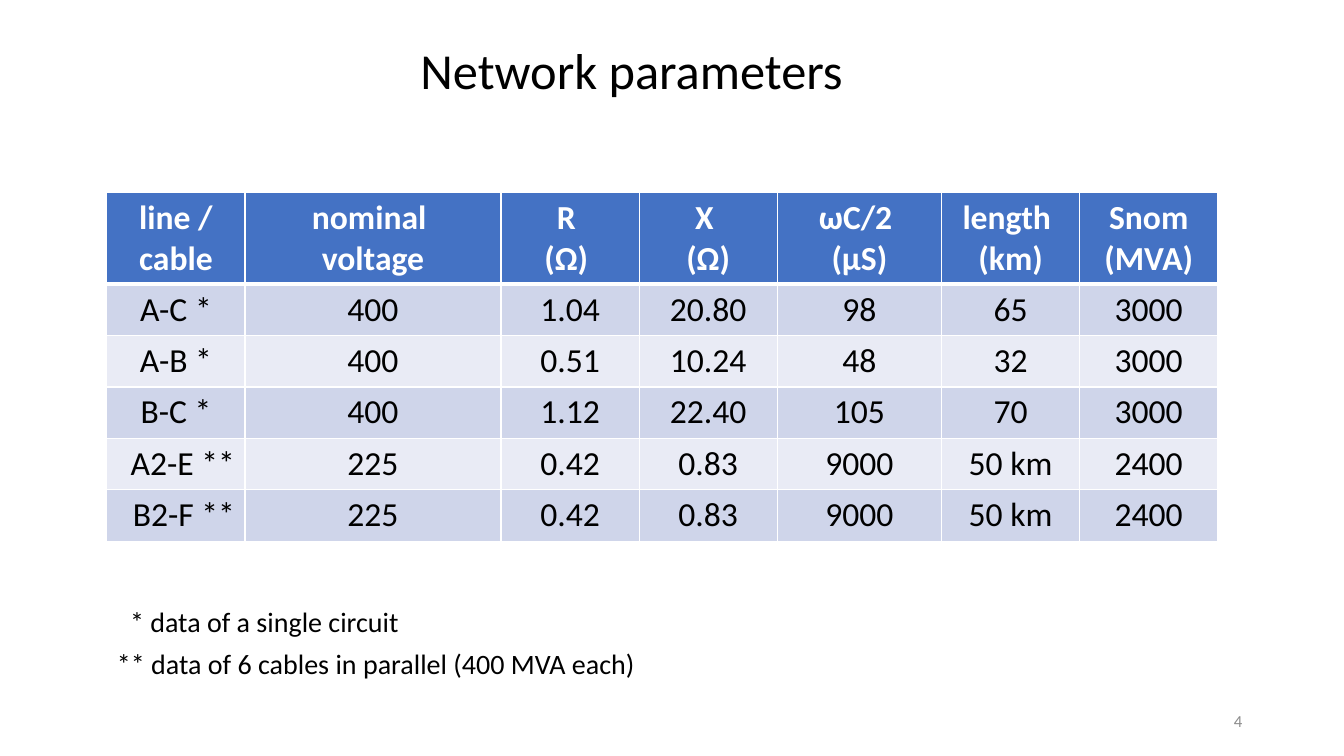
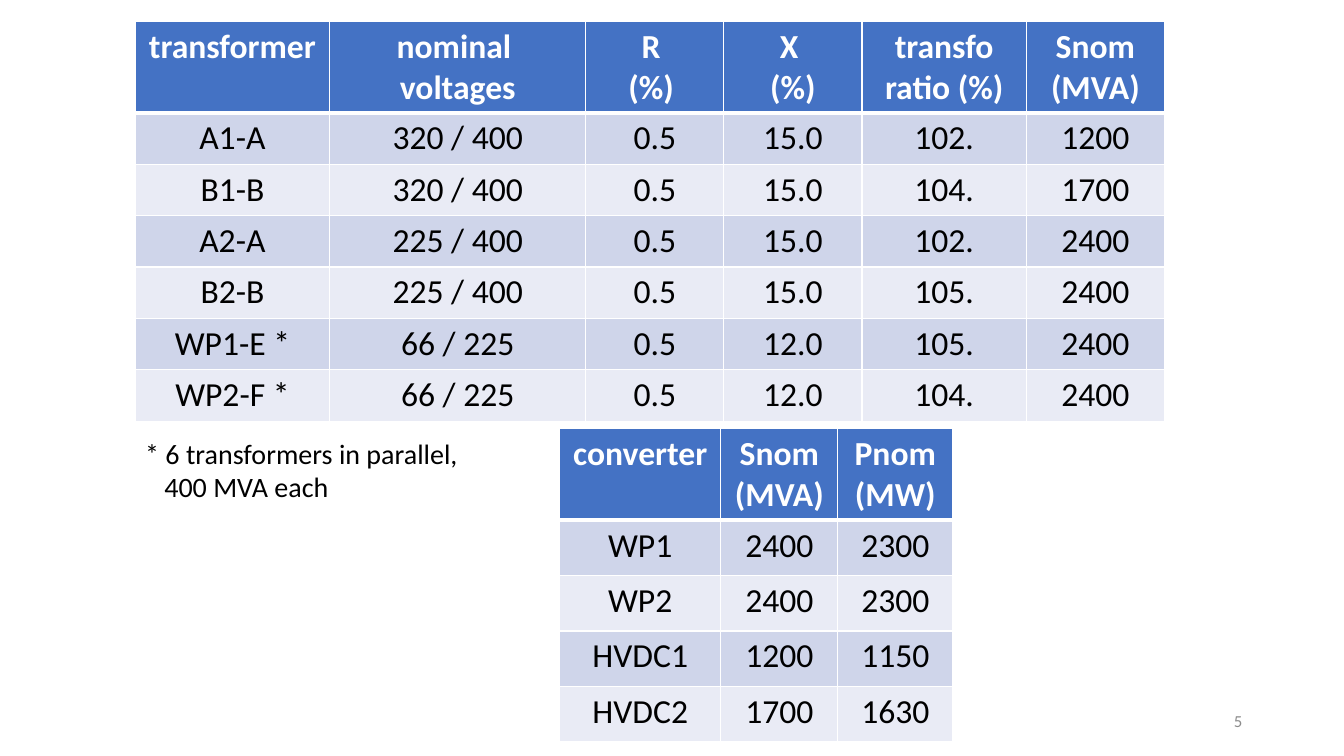
from dataclasses import dataclass

from lxml import etree
from pptx import Presentation
from pptx.dml.color import RGBColor
from pptx.enum.text import MSO_ANCHOR, MSO_AUTO_SIZE, PP_ALIGN
from pptx.oxml.ns import qn
from pptx.util import Inches, Pt

LEFT, CENTER, RIGHT = PP_ALIGN.LEFT, PP_ALIGN.CENTER, PP_ALIGN.RIGHT
TOP, MIDDLE = MSO_ANCHOR.TOP, MSO_ANCHOR.MIDDLE
NO_FIT, GROW = MSO_AUTO_SIZE.NONE, MSO_AUTO_SIZE.SHAPE_TO_FIT_TEXT
TITLE_AND_CONTENT = 1


@dataclass(frozen=True)
class Theme:
    """Colours, type sizes and line widths of the deck."""
    font: str = "Calibri"
    ink: str = "000000"
    white: str = "FFFFFF"
    grey: str = "8C8C8C"
    header: str = "4472C4"
    bands: tuple = ("CFD5EA", "E9EBF5")
    title_size: int = 36
    cell_size: int = 24
    note_size: int = 20
    number_size: int = 12
    rule: int = 1
    header_rule: int = 3


class Deck:
    """Builds slides in one theme."""

    def __init__(self, theme):
        """Open a blank widescreen presentation."""
        self.theme = theme
        self.prs = Presentation()
        self.prs.slide_width = Inches(13.33)
        self.prs.slide_height = Inches(7.5)
        self.s = None

    def slide(self, number, title=None):
        """Start a slide with its number and optional title."""
        self.s = self.prs.slides.add_slide(self.prs.slide_layouts[TITLE_AND_CONTENT])
        if title:
            self.title(title)
        else:
            sp = self.s.shapes.title.element
            sp.getparent().remove(sp)
        self.number(number)

    def place(self, sp, x, y, w, h):
        """Move and size a shape."""
        sp.left, sp.top, sp.width, sp.height = (Inches(v) for v in (x, y, w, h))

    def frame(self, tf, anchor, fit):
        """Set wrapping, anchor and fitting of a text frame."""
        tf.word_wrap = True
        tf.vertical_anchor = anchor
        tf.auto_size = fit

    def run(self, p, text, size, color, align=LEFT, bold=False):
        """Add one formatted run to a paragraph."""
        p.alignment = align
        r = p.add_run()
        r.text = text
        r.font.name = self.theme.font
        r.font.size = Pt(size)
        r.font.bold = bold
        r.font.color.rgb = RGBColor.from_string(color)

    def paragraphs(self, tf, count):
        """Return the given count of paragraphs in a text frame."""
        return [tf.paragraphs[0]] + [tf.add_paragraph() for _ in range(count - 1)]

    def title(self, text):
        """Fill the title placeholder."""
        sp = self.s.shapes.title
        self.place(sp, 4.07, 0, 7.71, 1.45)
        self.frame(sp.text_frame, MIDDLE, NO_FIT)
        p = sp.text_frame.paragraphs[0]
        p.line_spacing = 0.9
        self.run(p, text, self.theme.title_size, self.theme.ink)

    def number(self, number):
        """Add the slide number."""
        sp = self.s.shapes.add_textbox(Inches(9.42), Inches(6.95), Inches(3), Inches(0.4))
        self.frame(sp.text_frame, MIDDLE, NO_FIT)
        self.run(sp.text_frame.paragraphs[0], str(number),
                 self.theme.number_size, self.theme.grey, RIGHT)

    def note(self, box, lines, before=0):
        """Fill the body placeholder with (text, indent, line spacing) lines."""
        sp = self.s.placeholders[1]
        self.place(sp, *box)
        tf = sp.text_frame
        self.frame(tf, TOP, GROW)
        for p, (text, indent, spacing) in zip(self.paragraphs(tf, len(lines)), lines):
            p.space_before = Pt(before)
            p.line_spacing = spacing
            self.run(p, text, self.theme.note_size, self.theme.ink)
            pPr = p._p.get_or_add_pPr()
            pPr.set("marL", str(Inches(indent)))
            pPr.set("indent", "0")
            etree.SubElement(pPr, qn("a:buNone"))

    def borders(self, cell, top, bottom):
        """Draw white borders round a cell."""
        tcPr = cell._tc.get_or_add_tcPr()
        widths = {"L": self.theme.rule, "R": self.theme.rule, "T": top, "B": bottom}
        for side, width in widths.items():
            ln = etree.SubElement(tcPr, qn(f"a:ln{side}"), w=str(Pt(width)))
            fill = etree.SubElement(ln, qn("a:solidFill"))
            etree.SubElement(fill, qn("a:srgbClr"), val=self.theme.white)

    def cell(self, cell, text, row):
        """Fill and format one table cell."""
        t = self.theme
        head = row == 0
        self.borders(cell, t.header_rule if row == 1 else t.rule,
                     t.header_rule if head else t.rule)
        cell.fill.solid()
        color = t.header if head else t.bands[(row - 1) % 2]
        cell.fill.fore_color.rgb = RGBColor.from_string(color)
        lines = text.split("\n")
        align = RIGHT if text.endswith("**") else CENTER
        for p, line in zip(self.paragraphs(cell.text_frame, len(lines)), lines):
            self.run(p, line, t.cell_size, t.white if head else t.ink, align, head)

    def table(self, x, y, widths, rows, row_height=0.51, header_height=0.91):
        """Add a table with a header row and banded body rows."""
        heights = [header_height] + [row_height] * (len(rows) - 1)
        tbl = self.s.shapes.add_table(
            len(rows), len(widths), Inches(x), Inches(y),
            Inches(sum(widths)), Inches(sum(heights))).table
        for column, width in zip(tbl.columns, widths):
            column.width = Inches(width)
        for i, (height, values) in enumerate(zip(heights, rows)):
            tbl.rows[i].height = Inches(height)
            for j, text in enumerate(values):
                self.cell(tbl.cell(i, j), text, i)


LINES = [
    ("line / cable", "nominal \nvoltage", "R \n(Ω) ", "X \n(Ω)",
     "ωC/2 \n(μS)", "length \n(km)", "Snom (MVA)"),
    ("A-C *", "400", "1.04", "20.80", "98", "65", "3000"),
    ("A-B *", "400", "0.51", "10.24", "48", "32", "3000"),
    ("B-C *", "400", "1.12", "22.40", "105", "70", "3000"),
    ("A2-E **", "225", "0.42", "0.83", "9000", "50 km", "2400"),
    ("B2-F **", "225", "0.42", "0.83", "9000", "50 km", "2400"),
]
TRANSFORMERS = [
    ("transformer", "nominal \nvoltages", "R \n(%) ", "X \n(%)",
     "transfo\nratio (%)", "Snom (MVA)"),
    ("A1-A", "320 / 400", "0.5", "15.0", "102.", "1200"),
    ("B1-B", "320 / 400", "0.5", "15.0", "104.", "1700"),
    ("A2-A", "225 / 400", "0.5", "15.0", "102.", "2400"),
    ("B2-B", "225 / 400", "0.5", "15.0", "105.", "2400"),
    ("WP1-E *", "66 / 225", "0.5", "12.0", "105.", "2400"),
    ("WP2-F *", "66 / 225", "0.5", "12.0", "104.", "2400"),
]
CONVERTERS = [
    ("converter", "Snom\n(MVA)", "Pnom\n(MW)"),
    ("WP1", "2400", "2300"),
    ("WP2", "2400", "2300"),
    ("HVDC1", "1200", "1150"),
    ("HVDC2", "1700", "1630"),
]


def main():
    """Build and save the deck."""
    deck = Deck(Theme())

    deck.slide(4, "Network parameters")
    deck.table(1.06, 1.91, (1.37, 2.54, 1.37, 1.37, 1.63, 1.37, 1.37), LINES)
    deck.note((1.06, 5.95, 6.03, 0.86), [
        ("* data of a single circuit", 0.13, 1.0),
        ("** data of 6 cables in parallel (400 MVA each)", 0, 1.0),
    ], before=6)

    deck.slide(5)
    deck.table(1.34, 0.21, (1.93, 2.54, 1.37, 1.37, 1.63, 1.37), TRANSFORMERS)
    deck.note((1.34, 4.11, 3.39, 0.94), [
        ("* 6 transformers in parallel,", 0, 1.5),
        ("400 MVA each", 0.19, 1.0),
    ])
    deck.table(5.55, 4.25, (1.6, 1.16, 1.14), CONVERTERS, row_height=0.55)

    deck.prs.save("out.pptx")


if __name__ == "__main__":
    main()
